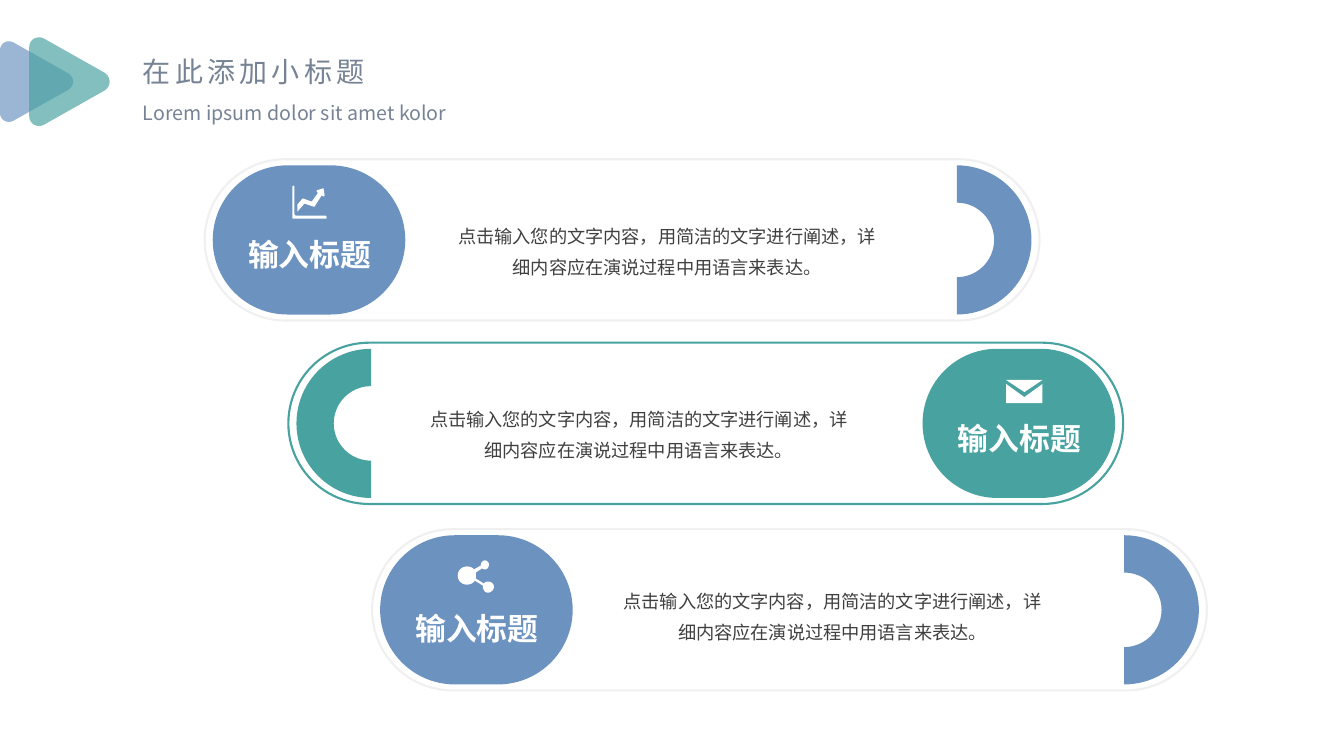
import pptx
import pptx.util
import pptx.dml.color
import pptx.enum.shapes
import pptx.enum.text
import pptx.oxml.ns
import lxml.etree

Inches = pptx.util.Inches
Pt = pptx.util.Pt
qn = pptx.oxml.ns.qn
SHAPE = pptx.enum.shapes.MSO_SHAPE

FONT = "Noto Sans CJK SC"
BLUE, TEAL, WHITE = "6C92C0", "48A2A0", "FFFFFF"
PALE, SLATE, CHARCOAL = "F0F0F0", "768394", "404040"
HEADING = "输入标题"
DETAIL = "点击输入您的文字内容，用简洁的文字进行阐述，详细内容应在演说过程中用语言来表达。"

FRAME_W, FRAME_H = 8.28, 1.6
PILL_W, PILL_H = 1.91, 1.48
MARGIN_X, MARGIN_Y = 0.08, 0.06

# Outlines: a pair is a line to that point, six numbers are a Bézier curve.
CHART_ICON = [
    [(3.2, 1.87), (3.21, 1.87), (3.22, 1.94), (3.21, 1.95), (3.19, 1.94),
     (3.12, 2.05), (3.11, 2.05), (3.02, 2.02), (2.95, 2.1), (2.95, 2.03),
     (3, 1.97), (3.01, 1.97), (3.09, 2), (3.1, 1.99), (3.15, 1.92),
     (3.15, 1.91), (3.14, 1.9), (3.14, 1.89)],
    [(2.91, 1.84), (2.92, 1.85), (2.92, 2.12),
     (2.92, 2.13, 2.93, 2.14, 2.94, 2.14), (3.23, 2.14), (3.24, 2.15),
     (3.24, 2.16, 3.24, 2.17, 3.23, 2.17), (2.91, 2.17),
     (2.9, 2.17, 2.9, 2.16, 2.9, 2.15), (2.9, 1.85)],
]
MAIL_ICON = [
    [(9.98, 3.81), (10.16, 3.94), (10.34, 3.81), (10.34, 4), (9.98, 4)],
    [(9.98, 3.77), (10.34, 3.77), (10.16, 3.89)],
]
SHARE_ICON = [
    [(4.84, 5.77), (4.83, 5.77, 4.81, 5.77, 4.8, 5.79), (4.72, 5.74),
     (4.72, 5.73, 4.72, 5.72, 4.72, 5.71), (4.72, 5.7, 4.72, 5.69, 4.72, 5.68),
     (4.78, 5.64), (4.79, 5.64, 4.8, 5.65, 4.81, 5.65),
     (4.83, 5.65, 4.85, 5.63, 4.85, 5.6), (4.85, 5.58, 4.83, 5.56, 4.81, 5.56),
     (4.79, 5.56, 4.77, 5.58, 4.77, 5.6), (4.77, 5.61), (4.7, 5.65),
     (4.69, 5.63, 4.66, 5.62, 4.63, 5.62), (4.58, 5.62, 4.54, 5.66, 4.54, 5.71),
     (4.54, 5.76, 4.58, 5.8, 4.63, 5.8), (4.66, 5.8, 4.69, 5.79, 4.71, 5.76),
     (4.79, 5.81), (4.79, 5.82), (4.79, 5.85, 4.81, 5.88, 4.84, 5.88),
     (4.87, 5.88, 4.9, 5.85, 4.9, 5.82), (4.9, 5.79, 4.87, 5.77, 4.84, 5.77)],
]


def rgb(color):
    return pptx.dml.color.RGBColor.from_string(color)


def paint(shape, fill=None, line=None, alpha=None):
    """Set fill, outline and opacity (in percent) and drop the shadow."""
    shape.shadow.inherit = False
    if fill:
        shape.fill.solid()
        shape.fill.fore_color.rgb = rgb(fill)
    else:
        shape.fill.background()
    if line:
        shape.line.color.rgb = rgb(line)
        shape.line.width = Pt(1.5)
    else:
        shape.line.fill.background()
    if alpha:
        color = shape.element.spPr.find(qn("a:solidFill")).find(qn("a:srgbClr"))
        lxml.etree.SubElement(color, qn("a:alpha"), val=str(alpha * 1000))


def add_preset(slide, kind, left, top, width, height, **colors):
    shape = slide.shapes.add_shape(
        kind, Inches(left), Inches(top), Inches(width), Inches(height))
    paint(shape, **colors)
    return shape


def add_capsule(slide, left, top, width, height, **colors):
    capsule = add_preset(slide, SHAPE.ROUNDED_RECTANGLE, left, top, width, height, **colors)
    capsule.adjustments[0] = 0.5


def flatten(contour, steps=8):
    """Turn lines and Bézier curves into a list of points in EMU."""
    points = []
    for segment in contour:
        if len(segment) == 2:
            points.append(segment)
            continue
        x0, y0 = points[-1]
        x1, y1, x2, y2, x3, y3 = segment
        for step in range(1, steps + 1):
            t = step / steps
            u = 1 - t
            a, b, c, d = u ** 3, 3 * u * u * t, 3 * u * t * t, t ** 3
            points.append((a * x0 + b * x1 + c * x2 + d * x3,
                           a * y0 + b * y1 + c * y2 + d * y3))
    return [(Inches(x), Inches(y)) for x, y in points]


def add_outline(shapes, contours, **colors):
    first, *others = [flatten(contour) for contour in contours]
    builder = shapes.build_freeform(*first[0])
    builder.add_line_segments(first[1:], close=True)
    for points in others:
        builder.move_to(*points[0])
        builder.add_line_segments(points[1:], close=True)
    paint(builder.convert_to_shape(), **colors)


def add_triangle(shapes, left, scale, color):
    """Draw a rounded triangle pointing right, centred on the header line."""
    contour = [(0.68, -0.08), (0.13, -0.39), (0.07, -0.42, 0, -0.38, 0, -0.31),
               (0, 0.31), (0, 0.38, 0.07, 0.42, 0.13, 0.39), (0.68, 0.08),
               (0.74, 0.04, 0.74, -0.04, 0.68, -0.08)]
    placed = [tuple(value * scale + (0.81 if i % 2 else left)
                    for i, value in enumerate(segment)) for segment in contour]
    add_outline(shapes, [placed], fill=color, alpha=68)


def add_text(slide, text, left, top, width, height, *, size, color, bold=False,
             spacing=0, centred=False, line_height=None, wrap=True, inset=True):
    box = slide.shapes.add_textbox(
        Inches(left), Inches(top), Inches(width), Inches(height))
    frame = box.text_frame
    frame.word_wrap = wrap
    frame.auto_size = pptx.enum.text.MSO_AUTO_SIZE.SHAPE_TO_FIT_TEXT
    if not inset:
        frame.margin_left = frame.margin_right = 0
        frame.margin_top = frame.margin_bottom = 0
    paragraph = frame.paragraphs[0]
    if centred:
        paragraph.alignment = pptx.enum.text.PP_ALIGN.CENTER
    if line_height:
        paragraph.line_spacing = Pt(line_height)
    run = paragraph.add_run()
    run.text = text
    run.font.size = Pt(size)
    run.font.bold = bold
    run.font.color.rgb = rgb(color)
    run.font.name = FONT
    properties = run.font._element
    lxml.etree.SubElement(properties, qn("a:ea"), typeface=FONT)
    if spacing:
        properties.set("spc", str(spacing * 100))


def add_header(slide):
    add_text(slide, "在此添加小标题", 1.32, 0.49, 2.46, 0.44,
             size=20, color=SLATE, spacing=3, wrap=False)
    add_text(slide, "Lorem ipsum dolor sit amet kolor", 1.32, 0.95, 3.23, 0.34,
             size=14, color=SLATE)
    arrows = slide.shapes.add_group_shape().shapes
    add_triangle(arrows, 0, 1, BLUE)
    add_triangle(arrows, 0.29, 1.1, TEAL)


def add_banner(slide, left, top, color, border, icon, heading_top, detail_at, mirrored=False):
    """Draw a framed row; a mirrored one has its pill on the right."""
    near = left + MARGIN_X
    right = left + FRAME_W - MARGIN_X
    pill_left = right - PILL_W if mirrored else near
    arc_left = near if mirrored else right - PILL_H
    inner_top = top + MARGIN_Y
    add_capsule(slide, left, top, FRAME_W, FRAME_H, line=border)
    add_capsule(slide, pill_left, inner_top, PILL_W, PILL_H, fill=color)
    arc = add_preset(slide, SHAPE.BLOCK_ARC, arc_left, inner_top, PILL_H, PILL_H, fill=color)
    arc.rotation = 270 if mirrored else 90
    add_outline(slide.shapes, icon, fill=WHITE)
    add_text(slide, DETAIL, *detail_at, 4.25, 0.58, size=13, color=CHARCOAL,
             centred=True, line_height=22, inset=False)
    add_text(slide, HEADING, pill_left + 0.29, heading_top, 1.34, 0.37, size=22,
             color=WHITE, bold=True, centred=True, inset=False)


def main():
    deck = pptx.Presentation()
    deck.slide_width, deck.slide_height = Inches(13.33), Inches(7.5)
    slide = deck.slides.add_slide(deck.slide_layouts[6])
    add_header(slide)
    add_banner(slide, 2.03, 1.58, BLUE, PALE, CHART_ICON, 2.34, (4.49, 2.15))
    add_banner(slide, 2.86, 3.4, TEAL, TEAL, MAIL_ICON, 4.16, (4.21, 3.96), mirrored=True)
    add_banner(slide, 3.69, 5.25, BLUE, PALE, SHARE_ICON, 6.05, (6.13, 5.77))
    deck.save("out.pptx")


if __name__ == "__main__":
    main()
